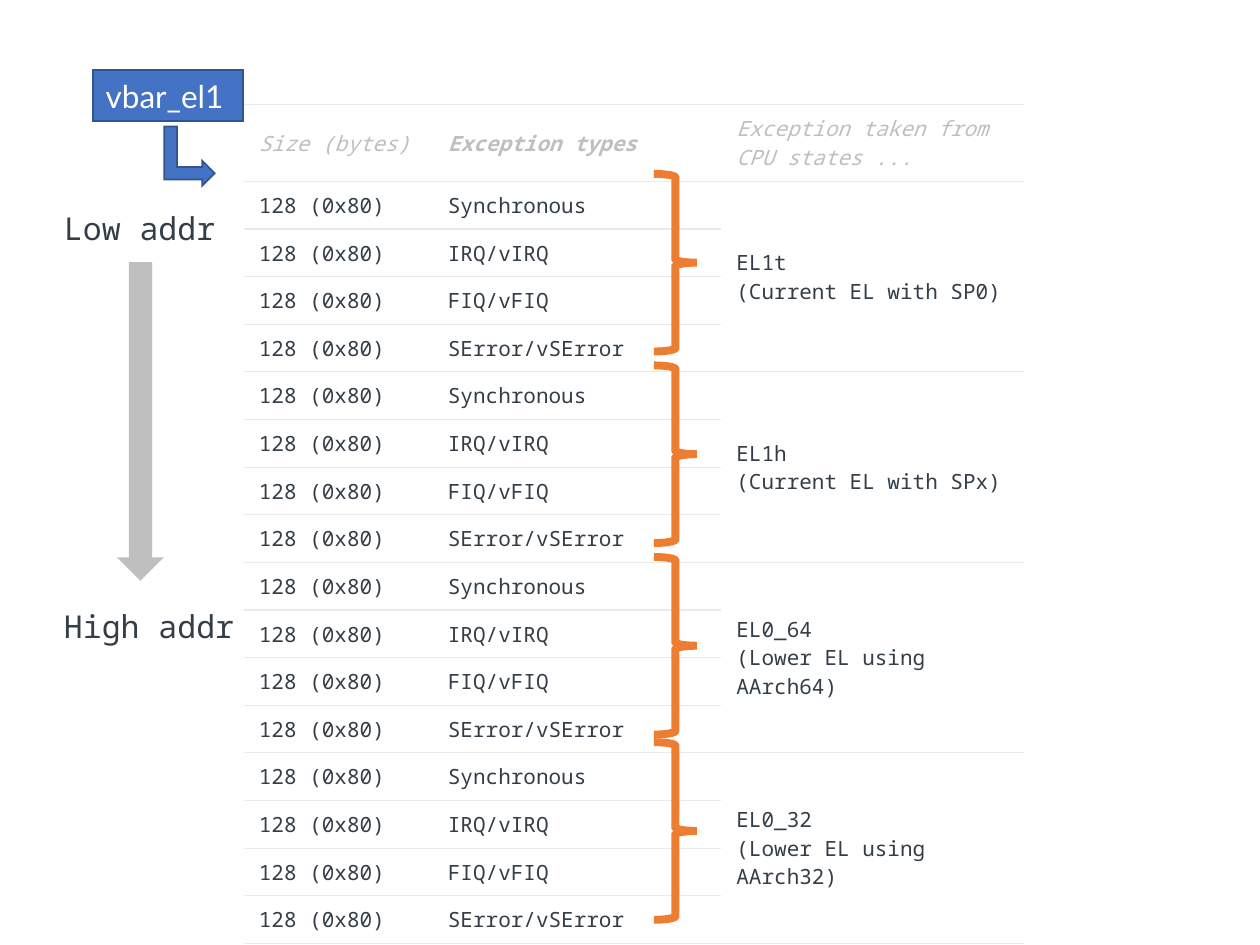
from lxml.etree import SubElement
from pptx import Presentation
from pptx.dml.color import RGBColor
from pptx.enum.shapes import MSO_SHAPE
from pptx.enum.text import MSO_ANCHOR, MSO_AUTO_SIZE, PP_ALIGN
from pptx.oxml.ns import qn
from pptx.util import Inches, Pt

MONO, SANS = "Noto Sans Mono", "Lato"
INK, GREY, RULE = "333E48", "BFBFBF", "E5ECEB"
BLUE, EDGE, ORANGE, WHITE = "4472C4", "325491", "ED7D31", "FFFFFF"
PLAIN = "{2D5ABB26-0587-4C30-8999-92F81FD0307C}"

HEADS = ["Size (bytes)", "Exception types",
         "Exception taken from CPU states ..."]
KINDS = ["Synchronous", "IRQ/vIRQ", "FIQ/vFIQ", "SError/vSError"]
STATES = [
    ["EL1t", "(Current EL with SP0)"],
    ["EL1h", "(Current EL with SPx)"],
    ["EL0_64", "(Lower EL using AArch64)"],
    ["EL0_32", "(Lower EL using AArch32)"],
]
HEAD, ROW = 6.1, 3.78


def unit(n):
    """The slide is a grid of 100 columns by 75 rows."""
    return Inches(n / 10)


def box(*cells):
    return [unit(n) for n in cells]


def color(code):
    return RGBColor.from_string(code)


def write(frame, lines, size, font, ink, bold=False, slant=False):
    for i, line in enumerate(lines):
        para = frame.add_paragraph() if i else frame.paragraphs[0]
        para.alignment = PP_ALIGN.LEFT
        run = para.add_run()
        run.text = line
        face = run.font
        face.size, face.name = Pt(size), font
        face.bold, face.italic = bold, slant
        face.color.rgb = color(ink)


def shape(slide, kind, place, fill=None, line=None, width=1):
    item = slide.shapes.add_shape(kind, *box(*place))
    item.shadow.inherit = False
    if fill:
        item.fill.solid()
        item.fill.fore_color.rgb = color(fill)
    else:
        item.fill.background()
    if line:
        item.line.color.rgb = color(line)
        item.line.width = Pt(width)
        edge = item.element.spPr.find(qn("a:ln"))
        SubElement(edge, qn("a:miter"), lim="800000")
    else:
        item.line.fill.background()
    return item


def label(slide, text, place):
    frame = slide.shapes.add_textbox(*box(*place)).text_frame
    frame.word_wrap = True
    frame.auto_size = MSO_AUTO_SIZE.SHAPE_TO_FIT_TEXT
    write(frame, [text], 18, MONO, INK)


def border(cell):
    props = cell._tc.get_or_add_tcPr()
    for side in ("a:lnT", "a:lnB"):
        line = SubElement(props, qn(side), w=str(Pt(0.75)))
        fill = SubElement(line, qn("a:solidFill"))
        SubElement(fill, qn("a:srgbClr"), val=RULE)


def fill_cell(cell, lines, ink=INK, **style):
    border(cell)
    cell.fill.background()
    cell.vertical_anchor = MSO_ANCHOR.MIDDLE
    cell.margin_left = cell.margin_right = unit(1.2)
    cell.margin_top = cell.margin_bottom = unit(0.7)
    write(cell.text_frame, lines, 12, MONO, ink, **style)


def vectors(slide):
    count = len(KINDS)
    body = count * len(STATES)
    frame = slide.shapes.add_table(
        body + 1, 3, *box(19.35, 8.3, 61.9, HEAD + ROW * body))
    table = frame.table
    table.first_row = table.horz_banding = False
    table._tbl.tblPr.find(qn("a:tableStyleId")).text = PLAIN
    for col, wide in zip(table.columns, (15, 22.9, 24)):
        col.width = unit(wide)
    for i, row in enumerate(table.rows):
        row.height = unit(ROW if i else HEAD)

    # Header
    for i, head in enumerate(HEADS):
        fill_cell(table.cell(0, i), [head], GREY, bold=i == 1, slant=True)

    # One group of rows per CPU state
    for i, state in enumerate(STATES):
        top = 1 + i * count
        for j, kind in enumerate(KINDS):
            fill_cell(table.cell(top + j, 0), ["128 (0x80)"])
            fill_cell(table.cell(top + j, 1), [kind])
        first = table.cell(top, 2)
        first.merge(table.cell(top + count - 1, 2))
        fill_cell(first, state)


def base(slide):
    # Register name
    tag = shape(slide, MSO_SHAPE.RECTANGLE, (7.4, 5.55, 11.9, 4.05),
                BLUE, EDGE)
    frame = tag.text_frame
    frame.word_wrap = True
    frame.auto_size = MSO_AUTO_SIZE.SHAPE_TO_FIT_TEXT
    write(frame, ["vbar_el1"], 18, SANS, WHITE)

    # Arrow bending towards the table
    bend = shape(slide, MSO_SHAPE.BENT_UP_ARROW, (12.7, 10.4, 4.7, 4),
                 BLUE, EDGE)
    bend.rotation = 270
    turn = bend.element.spPr.find(qn("a:xfrm"))
    turn.set("flipH", "1")
    turn.set("flipV", "1")


def main():
    deck = Presentation()
    deck.slide_width, deck.slide_height = box(100, 75)
    slide = deck.slides.add_slide(deck.slide_layouts[6])

    vectors(slide)
    for top in (13.8, 29, 44.2, 58.9):
        shape(slide, MSO_SHAPE.RIGHT_BRACE, (51.9, top, 3.4, 14.1),
              line=ORANGE, width=4.5)

    # Address direction
    label(slide, "Low addr", (4.1, 16.1, 14.7, 4))
    label(slide, "High addr", (4.1, 47.7, 50, 4))
    shape(slide, MSO_SHAPE.DOWN_ARROW, (9.3, 20.8, 3.7, 25.3), GREY)

    base(slide)
    deck.save("out.pptx")


main()
